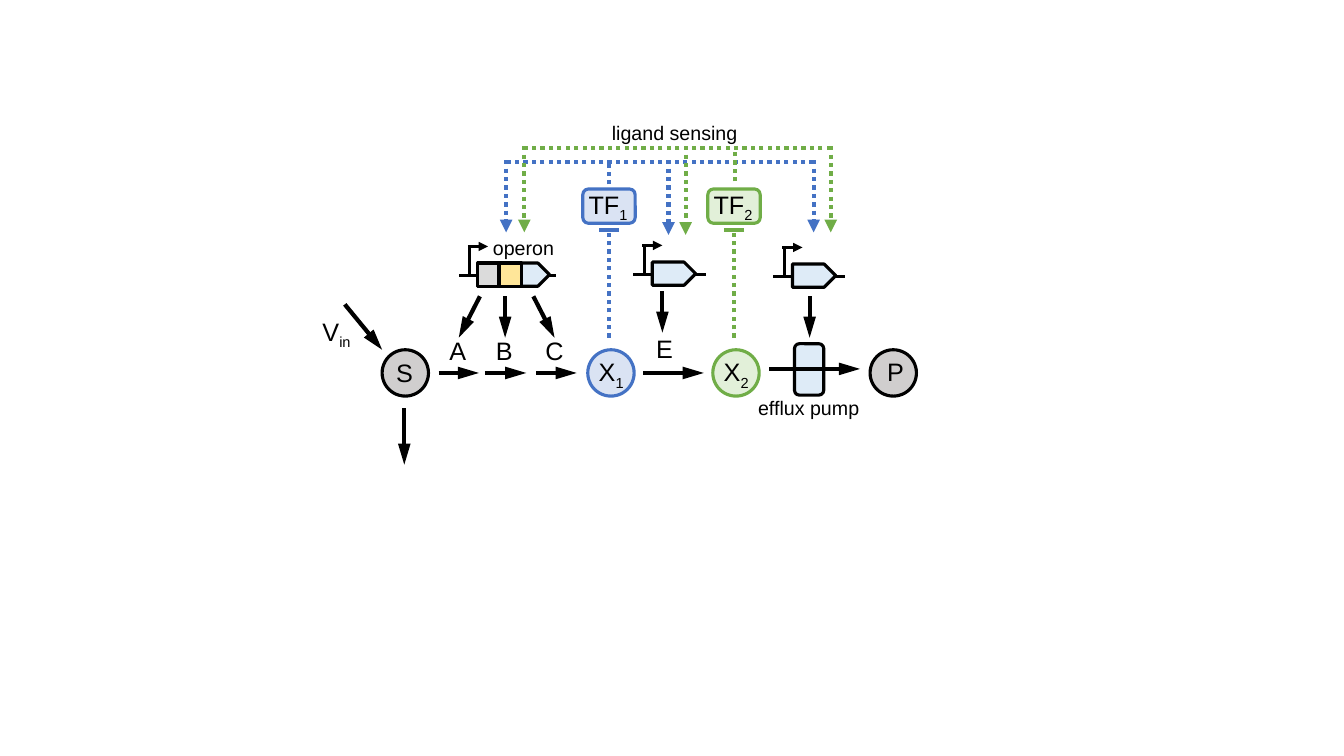
from lxml import etree
from pptx import Presentation
from pptx.dml.color import RGBColor
from pptx.enum.dml import MSO_LINE
from pptx.enum.shapes import MSO_CONNECTOR, MSO_SHAPE
from pptx.enum.text import MSO_AUTO_SIZE
from pptx.oxml.ns import qn
from pptx.util import Inches, Pt

CIRCLE = MSO_SHAPE.OVAL
ROUND = MSO_SHAPE.ROUNDED_RECTANGLE
RECT = MSO_SHAPE.RECTANGLE
PLATE = MSO_SHAPE.PENTAGON
STRAIGHT = MSO_CONNECTOR.STRAIGHT
DOTS = MSO_LINE.ROUND_DOT
FIT = MSO_AUTO_SIZE.SHAPE_TO_FIT_TEXT

FONT = "Arial"
THIN, THICK = 2.25, 3
SIDE = 4.6
FLOW = 37
COLORS = {
    "black": "000000", "gray": "D0CECE", "silver": "DBDBDB",
    "gold": "FFE699", "sky": "DEEBF7", "blue": "4472C4",
    "ice": "DAE3F3", "green": "70AD47", "mint": "E2F0D9",
}


def paint(name):
    return RGBColor.from_string(COLORS[name])


def grid(*cells):
    return [Inches(cell / 10) for cell in cells]


def add_box(slide, kind, left, top, width, height, fill, edge="black"):
    box = slide.shapes.add_shape(kind, *grid(left, top, width, height))
    box.shadow.inherit = False
    box.fill.solid()
    box.fill.fore_color.rgb = paint(fill)
    box.line.color.rgb = paint(edge)
    box.line.width = Pt(THIN)


def add_line(slide, start, end, color="black", width=THICK, dots=False, head=None):
    line = slide.shapes.add_connector(STRAIGHT, *grid(*start, *end))
    line.line.color.rgb = paint(color)
    line.line.width = Pt(width)
    if dots:
        line.line.dash_style = DOTS
    if head:
        tail = etree.SubElement(line.line._get_or_add_ln(), qn("a:tailEnd"))
        tail.set("type", "triangle")
        tail.set("len", head)
    etree.SubElement(line._element.spPr, qn("a:effectLst"))


def add_text(slide, text, left, top, width, size=18, sub=""):
    box = slide.shapes.add_textbox(*grid(left, top, width, 4 if size == 18 else 3.4))
    frame = box.text_frame
    frame.text = text
    frame.word_wrap = False
    frame.auto_size = FIT
    para = frame.paragraphs[0]
    if sub:
        low = para.add_run()
        low.text = sub
        low.font._element.set("baseline", "-25000")
    for run in para.runs:
        run.font.name = FONT
        run.font.size = Pt(size)
        run.font.color.rgb = paint("black")


def add_gene(slide, left, base, span, plate):
    top = base - 2.85
    add_line(slide, (left + span, base), (left, base), width=THIN)
    add_line(slide, (left + 1.1, top), (left + 1.1, base), width=THIN)
    add_line(slide, (left + 0.9, top), (left + 2.9, top), width=THIN, head="med")
    add_box(slide, PLATE, left + 1.9, base - 1.2, plate, 2.3, "sky")


def add_sensor(slide, index, left, color, fill):
    mid = left + 2.3
    add_box(slide, CIRCLE, left, 34.7, SIDE, SIDE, fill, color)
    add_text(slide, "X", left + 0.1, 34.9, 4.6, sub=index)
    add_box(slide, ROUND, left - 0.5, 18.75, 5.2, 3.4, fill, color)
    add_text(slide, "TF", left - 0.9, 18.3, 6, sub=index)
    add_line(slide, (mid - 0.2, 33.5), (mid - 0.2, 22.8), color, dots=True)
    add_line(slide, (mid + 0.8, 22.85), (mid - 1.2, 22.85), color)


def add_rail(slide, color, top, drops, feed, foot):
    add_line(slide, (drops[-1], top), (drops[0], top), color, dots=True)
    for drop, end in zip(drops, (23.05, 23.3, 23.05)):
        add_line(slide, (drop, top - 0.2), (drop, end), color, dots=True, head="med")
    add_line(slide, (feed, foot), (feed, top), color, dots=True)


def main():
    prs = Presentation()
    prs.slide_width, prs.slide_height = Inches(13.33), Inches(7.5)
    slide = prs.slides.add_slide(prs.slide_layouts[6])

    for name, left, top, shift in (("S", 37.9, 35, 0.4), ("P", 86.3, 34.9, 0.7)):
        add_box(slide, CIRCLE, left, 34.7, SIDE, SIDE, "gray")
        add_text(slide, name, left + shift, top, 3.7)
    add_text(slide, "V", 31, 30.9, 5, sub="in")

    for gene in ((45.5, 27.3, 9.6, 7.1), (62.8, 27.2, 7.2, 4.3), (76.7, 27.4, 7.1, 4.3)):
        add_gene(slide, *gene)
    add_box(slide, RECT, 49.4, 26.1, 2.3, 2.3, "gold")
    add_box(slide, RECT, 47.4, 26.1, 2.1, 2.3, "silver")

    add_sensor(slide, "1", 58.3, "blue", "ice")
    add_sensor(slide, "2", 70.7, "green", "mint")
    add_box(slide, ROUND, 78.8, 34.1, 2.9, 5.1, "sky")

    for start, end in ((43.5, 47.5), (48.1, 52.2), (53.2, 57.2), (63.8, 69.8)):
        add_line(slide, (start, FLOW), (end, FLOW), head="lg")
    add_line(slide, (76.3, 36.6), (85.3, 36.6), head="lg")
    add_line(slide, (34.2, 30.2), (37.9, 34.7), head="lg")
    add_line(slide, (40.1, 40.5), (40.1, 46.1), head="lg")
    for start, end, top in ((47.6, 45.5, 29.4), (50.1, 50.1, 29.4), (52.9, 55, 29.4),
                            (65.7, 65.7, 28.9), (80.3, 80.3, 29.4)):
        add_line(slide, (start, top), (end, top + 4.1), head="lg")

    add_rail(slide, "blue", 16.1, (50.2, 66.3, 80.7), 60.4, 18.3)
    add_rail(slide, "green", 14.7, (52, 68, 82.4), 72.9, 18)

    for name, left, top in (("A", 43.6, 32.8), ("B", 48.2, 32.8),
                            ("C", 53.1, 32.8), ("E", 64.1, 32.6)):
        add_text(slide, name, left, top, 3.7)
    for name, left, top, width in (("operon", 47.9, 22.9, 8.1),
                                   ("efflux pump", 74.2, 38.8, 12.1),
                                   ("ligand sensing", 59.7, 11.5, 14.5)):
        add_text(slide, name, left, top, width, size=14)

    prs.save("out.pptx")


if __name__ == "__main__":
    main()
